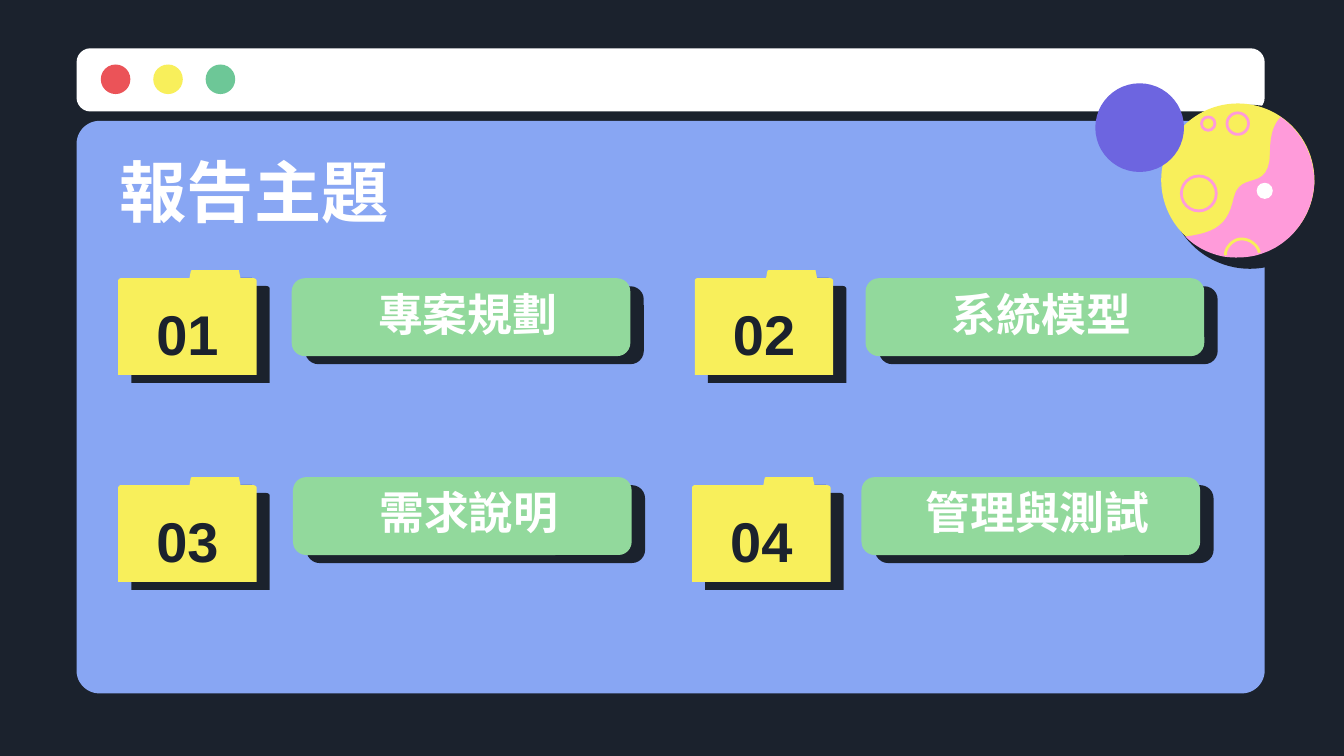
from lxml.etree import SubElement
from pptx import Presentation
from pptx.dml.color import RGBColor
from pptx.enum.shapes import MSO_SHAPE
from pptx.enum.text import MSO_ANCHOR, MSO_AUTO_SIZE, PP_ALIGN
from pptx.oxml.ns import qn
from pptx.util import Inches, Pt

NAVY, WHITE, YELLOW, PINK = "1B222D", "FFFFFF", "F8EF5B", "FF9BDA"
BLUE, GREEN, PURPLE = "88A6F3", "92D99C", "6D65E0"
CJK = "Noto Sans CJK SC"


def rgb(value):
    return RGBColor.from_string(value)


def paint(sp, fill=None, line=None):
    sp.shadow.inherit = False
    if fill:
        sp.fill.solid()
        sp.fill.fore_color.rgb = rgb(fill)
    else:
        sp.fill.background()
    if line:
        sp.line.color.rgb = rgb(line)
        sp.line.width = Pt(1.5)
    else:
        sp.line.fill.background()
    return sp


def add_box(s, kind, x, y, w, h, fill=None, line=None, adj=None):
    sp = s.shapes.add_shape(kind, *map(Inches, (x, y, w, h)))
    if adj is not None:
        sp.adjustments[0] = adj
    return paint(sp, fill, line)


def add_circle(s, cx, cy, radius, fill=None, line=None):
    return add_box(s, MSO_SHAPE.OVAL, cx - radius, cy - radius,
                   2 * radius, 2 * radius, fill, line)


def add_outline(s, x, y, segments, fill=None, line=None):
    """Draw points (x, y) as lines and (x1, y1, x2, y2, x, y) as sampled Bezier curves."""
    points = [segments[0]]
    for seg in segments[1:]:
        if len(seg) == 2:
            points.append(seg)
            continue
        ctrl = [points[-1], seg[:2], seg[2:4], seg[4:]]
        for t in (i / 12 for i in range(1, 13)):
            weights = ((1 - t) ** 3, 3 * t * (1 - t) ** 2, 3 * t * t * (1 - t), t ** 3)
            points.append(tuple(sum(k * c[axis] for k, c in zip(weights, ctrl))
                                for axis in (0, 1)))
    emu = [(Inches(x + px), Inches(y + py)) for px, py in points]
    builder = s.shapes.build_freeform(*emu[0], scale=1.0)
    builder.add_line_segments(emu[1:], close=fill is not None)
    return paint(builder.convert_to_shape(), fill, line)


def write(sp, text, size, color, font, anchor, align):
    tf = sp.text_frame
    frame = dict(word_wrap=True, auto_size=MSO_AUTO_SIZE.NONE, vertical_anchor=anchor)
    frame.update({f"margin_{side}": Inches(0.1) for side in ("left", "top", "right", "bottom")})
    for name, value in frame.items():
        setattr(tf, name, value)
    p = tf.paragraphs[0]
    p.alignment = align
    r = p.add_run()
    r.text = text
    for name, value in dict(size=Pt(size), bold=True, name=font).items():
        setattr(r.font, name, value)
    r.font.color.rgb = rgb(color)
    SubElement(r.font._element, qn("a:ea"), typeface=font)


def add_text(s, x, y, w, h, *style):
    write(s.shapes.add_textbox(*map(Inches, (x, y, w, h))), *style, PP_ALIGN.CENTER)


def add_window(s, x, y, w):
    add_box(s, MSO_SHAPE.ROUNDED_RECTANGLE, x, y, w, 0.47, WHITE, adj=0.22)
    for i, color in enumerate(("EB5358", YELLOW, "6DC797")):
        add_circle(s, x + 0.29 + i * 0.39, y + 0.23, 0.11, color)
    add_box(s, MSO_SHAPE.ROUNDED_RECTANGLE, x, y + 0.54, w, 4.26, BLUE, adj=0.04)


def add_planet(s, x, y):
    """Place the planet with its shadow, craters and moon; x, y is its top left."""
    add_circle(s, x + 0.66, y + 0.62, 0.61, NAVY)
    add_circle(s, x + 0.57, y + 0.57, 0.57, YELLOW)
    for cx, cy, radius in ((0.57, 0.15, 0.08), (0.28, 0.67, 0.13), (0.35, 0.15, 0.05)):
        add_circle(s, x + cx, y + cy, radius, line=PINK)
    add_outline(s, x, y, [
        (0.89, 0.1), (1.03, 0.2, 1.14, 0.37, 1.14, 0.59),
        (1.13, 0.83, 0.97, 1.05, 0.74, 1.12), (0.65, 1.15, 0.55, 1.15, 0.47, 1.14),
        (0.36, 1.12, 0.26, 1.07, 0.18, 0.99), (0.42, 0.96, 0.5, 0.89, 0.54, 0.7),
        (0.59, 0.49, 0.81, 0.67, 0.81, 0.36), (0.81, 0.21, 0.85, 0.14, 0.89, 0.1)], PINK)
    add_outline(s, x, y, [
        (0.48, 1.13), (0.47, 1.09, 0.52, 1.02, 0.58, 1.01),
        (0.65, 1, 0.72, 1.05, 0.73, 1.11)], line=YELLOW)
    add_circle(s, x + 0.77, y + 0.65, 0.06, WHITE)
    add_circle(s, x - 0.16, y + 0.18, 0.33, PURPLE)


def add_folder(s, x, y, number):
    sp = add_outline(s, x, y, [
        (1.03, 0.08), (1.03, 0.78), (0, 0.78), (0, 0.08), (0, 0.07, 0.01, 0.06, 0.02, 0.06),
        (0.53, 0.06), (0.54, 0.01), (0.54, 0, 0.55, 0, 0.56, 0), (0.89, 0),
        (0.9, 0, 0.9, 0, 0.9, 0.01), (0.91, 0.06), (1, 0.06),
        (1.02, 0.06, 1.03, 0.07, 1.03, 0.08)], YELLOW)
    effects = sp._element.spPr.find(qn("a:effectLst"))
    shadow = SubElement(effects, qn("a:outerShdw"), dist=str(Pt(8.2)), dir=str(31 * 60000),
                        algn="bl", rotWithShape="0")
    SubElement(shadow, qn("a:srgbClr"), val=NAVY)
    add_text(s, x + 0.08, y + 0.14, 0.87, 0.65, number, 30, NAVY, "Arial", MSO_ANCHOR.MIDDLE)


def add_label(s, x, y, text):
    for dx, dy, color in ((0.1, 0.06, NAVY), (0, 0, GREEN)):
        add_box(s, MSO_SHAPE.ROUNDED_RECTANGLE, x + dx, y + dy, 2.52, 0.58, color, adj=0.17)
    add_text(s, x + 0.28, y + 0.08, 2.06, 0.48, text, 24, WHITE, CJK, MSO_ANCHOR.BOTTOM)


def add_title(s, x, y, w, h, text):
    sp = s.shapes.title
    for name, value in dict(left=x, top=y, width=w, height=h).items():
        setattr(sp, name, Inches(value))
    write(sp, text, 36, WHITE, CJK, MSO_ANCHOR.TOP, PP_ALIGN.LEFT)
    sp._element.getparent().append(sp._element)


def main():
    prs = Presentation()
    prs.slide_width = Inches(10)
    prs.slide_height = prs.slide_width * 9 // 16
    s = prs.slides.add_slide(prs.slide_layouts[5])
    s.background.fill.solid()
    s.background.fill.fore_color.rgb = rgb(NAVY)
    add_window(s, 0.57, 0.36, 8.84)
    add_planet(s, 8.64, 0.77)
    topics = (
        ("專案規劃", (0.88, 2.01), (2.17, 2.07)),
        ("系統模型", (5.17, 2.01), (6.44, 2.07)),
        ("需求說明", (0.88, 3.55), (2.18, 3.55)),
        ("管理與測試", (5.15, 3.55), (6.41, 3.55)),
    )
    for i, (topic, folder, label) in enumerate(topics, 1):
        add_folder(s, *folder, f"{i:02}")
        add_label(s, *label, topic)
    add_title(s, 0.79, 1.02, 8.43, 0.62, "報告主題")
    prs.save("out.pptx")


if __name__ == "__main__":
    main()
